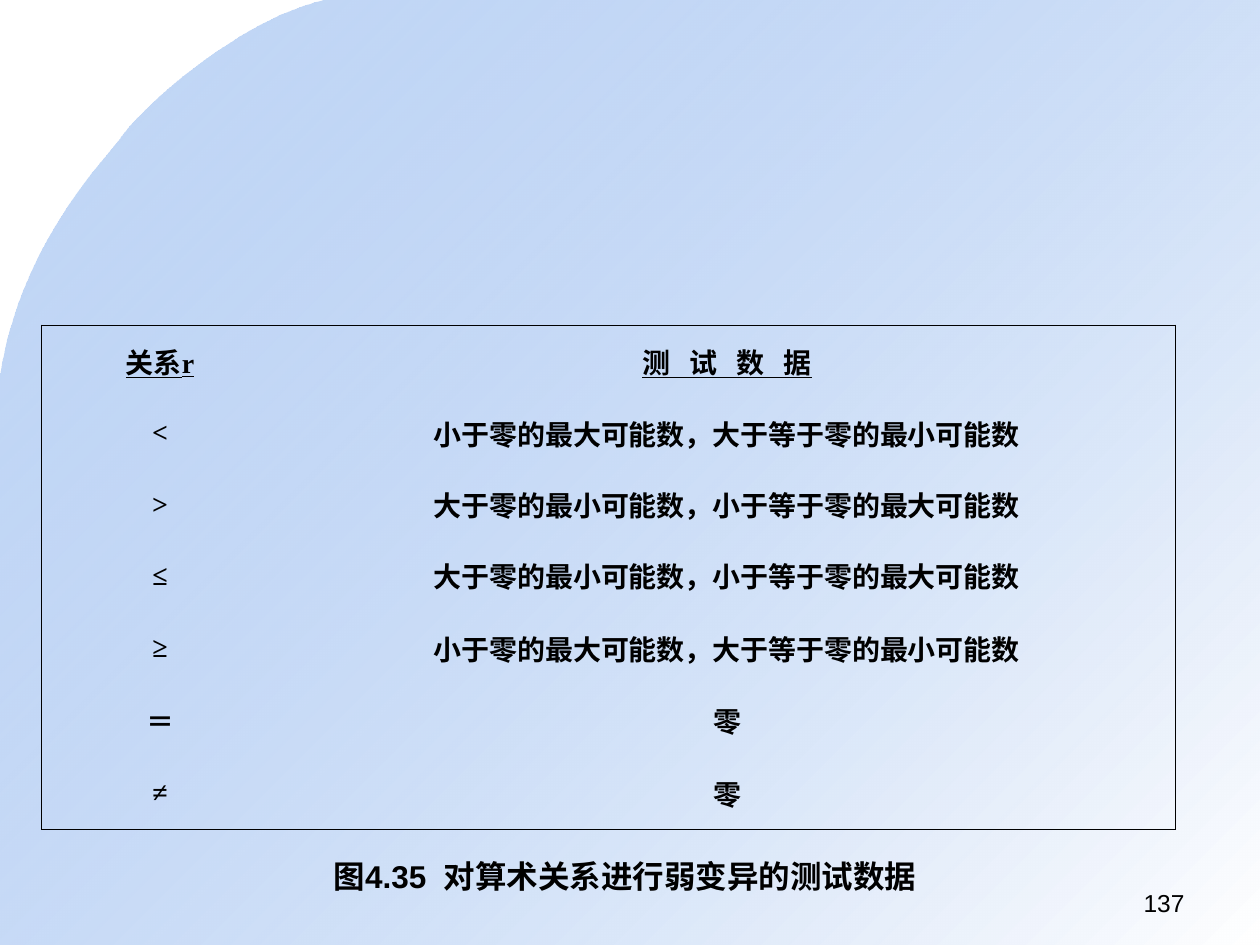
from dataclasses import dataclass

from lxml.etree import SubElement
from pptx import Presentation
from pptx.dml.color import RGBColor
from pptx.enum.text import MSO_ANCHOR as Anchor, MSO_AUTO_SIZE as AutoSize, PP_ALIGN as Align
from pptx.oxml.ns import qn
from pptx.util import Inches, Pt


@dataclass(frozen=True)
class Theme:
    """Colours, fonts and type sizes of the slide."""
    ink: RGBColor = RGBColor(0, 0, 0)
    sky: RGBColor = RGBColor(0x69, 0x9D, 0xE9)
    white: RGBColor = RGBColor(255, 255, 255)
    sky_alpha: int = 39000
    serif: str = "Times New Roman"
    sans: str = "Arial"
    table_size: Pt = Pt(16)
    caption_size: Pt = Pt(18)
    number_size: Pt = Pt(14)
    border: Pt = Pt(0.45)


THEME = Theme()
HEADERS = ("关系r", "测 试 数 据")
HEADER_TRACKING = 3.7
BELOW_ZERO = "小于零的最大可能数，大于等于零的最小可能数"
ABOVE_ZERO = "大于零的最小可能数，小于等于零的最大可能数"
RELATIONS = (("<", BELOW_ZERO), (">", ABOVE_ZERO), ("≤", ABOVE_ZERO),
             ("≥", BELOW_ZERO), ("＝", "零"), ("≠", "零"))
COLUMN_WIDTHS = (1.88, 7.12)
ROW_HEIGHTS = (0.57, 0.58, 0.55, 0.58, 0.57, 0.58, 0.57)
CURVES = (((2.58, 0), (1.9, 0.16), (1.16, 0.83), (0.98, 1.07)),
          ((0.98, 1.07), (0.8, 1.32), (0.16, 1.94), (0, 3.01)))


def bezier_points(curve, steps=24):
    """Return points along a cubic curve, without its start."""
    points = []
    for step in range(1, steps + 1):
        t = step / steps
        weights = ((1 - t) ** 3, 3 * t * (1 - t) ** 2, 3 * t * t * (1 - t), t ** 3)
        points.append(tuple(sum(w * point[axis] for w, point in zip(weights, curve))
                            for axis in (0, 1)))
    return points


def style_font(font, name, size, bold=False):
    """Apply a typeface, size and ink colour to a font."""
    font.name, font.size, font.bold = name, size, bold
    font.color.rgb = THEME.ink


def add_run(paragraph, text, tracking=0):
    """Append text with optional letter spacing in points."""
    run = paragraph.add_run()
    run.text = text
    if tracking:
        run._r.get_or_add_rPr().set("spc", str(round(tracking * 100)))


def add_backdrop(slide, left, top, width, height):
    """Draw the gradient sheet with its curved top left corner."""
    outline = [CURVES[0][0]] + [point for curve in CURVES for point in bezier_points(curve)]
    points = [(left + Inches(x), top + Inches(y)) for x, y in outline]
    points += [(left, top + height), (left + width, top + height), (left + width, top)]
    builder = slide.shapes.build_freeform(*points[0])
    builder.add_line_segments(points[1:], close=True)
    shape = builder.convert_to_shape()
    shape.shadow.inherit = False
    shape.line.fill.background()
    shape.fill.gradient()
    shape.fill.gradient_angle = 315
    for stop, position, color in zip(shape.fill.gradient_stops, (0, 1), (THEME.sky, THEME.white)):
        stop.position, stop.color.rgb = position, color
    first_color = shape._element.spPr.find(".//" + qn("a:srgbClr"))
    SubElement(first_color, qn("a:alpha"), val=str(THEME.sky_alpha))


def set_borders(cell, visible):
    """Draw the named sides of a cell and clear the others."""
    properties = cell._tc.get_or_add_tcPr()
    for side in "LRTB":
        line = SubElement(properties, qn(f"a:ln{side}"), w=str(int(THEME.border)))
        if side in visible:
            fill = SubElement(line, qn("a:solidFill"))
            SubElement(fill, qn("a:srgbClr"), val=str(THEME.ink))
        else:
            SubElement(line, qn("a:noFill"))


def fill_cell(cell, text, is_header):
    """Write one centred table entry."""
    cell.fill.background()
    cell.vertical_anchor = Anchor.MIDDLE
    cell.margin_left = cell.margin_right = Inches(0.08)
    cell.margin_top = cell.margin_bottom = Inches(0.05)
    paragraph = cell.text_frame.paragraphs[0]
    paragraph.alignment = Align.CENTER
    paragraph.space_after = Pt(1.2)
    add_run(paragraph, text, HEADER_TRACKING if " " in text else 0)
    style_font(paragraph.font, THEME.serif, THEME.table_size, bold=True)
    paragraph.font.underline = is_header
    for run in paragraph.runs:
        style_font(run.font, THEME.serif, THEME.table_size, bold=True)
        run.font.underline = is_header


def add_relation_table(slide, left, top, width, height):
    """Build the framed table of relations and test data."""
    rows = (HEADERS, *RELATIONS)
    table = slide.shapes.add_table(len(rows), len(HEADERS), left, top, width, height).table
    table.first_row = table.horz_banding = False
    for column, column_width in zip(table.columns, COLUMN_WIDTHS):
        column.width = Inches(column_width)
    for index, (row, row_height, texts) in enumerate(zip(table.rows, ROW_HEIGHTS, rows)):
        row.height = Inches(row_height)
        edge = {0: "T", len(rows) - 1: "B"}.get(index, "")
        for cell, side, text in zip(row.cells, "LR", texts):
            set_borders(cell, side + edge)
            fill_cell(cell, text, index == 0)


def add_label(slide, box, pieces, size, bold=False, align=Align.LEFT, wrap=True):
    """Place a one-line label made of (text, tracking) pieces."""
    frame = slide.shapes.add_textbox(*box).text_frame
    frame.word_wrap = wrap
    frame.auto_size = AutoSize.NONE if wrap else AutoSize.SHAPE_TO_FIT_TEXT
    paragraph = frame.paragraphs[0]
    paragraph.alignment = align
    for text, tracking in pieces:
        add_run(paragraph, text, tracking)
    style_font(paragraph.font, THEME.sans, size, bold)
    for run in paragraph.runs:
        style_font(run.font, THEME.sans, size, bold)


def add_caption(slide, *box):
    """Place the figure caption."""
    pieces = (("图4.35", 0), (" ", 5), ("对算术关系进行弱变异的测试数据", 0))
    add_label(slide, box, pieces, THEME.caption_size, bold=True, wrap=False)


def add_page_number(slide, *box):
    """Place the page number."""
    add_label(slide, box, (("137", 0),), THEME.number_size, align=Align.RIGHT)


def main():
    """Build and save the slide."""
    presentation = Presentation()
    presentation.slide_width, presentation.slide_height = Inches(10), Inches(7.5)
    slide = presentation.slides.add_slide(presentation.slide_layouts[6])
    add_backdrop(slide, 0, 0, presentation.slide_width, presentation.slide_height)
    add_relation_table(slide, Inches(0.33), Inches(2.58), Inches(9), Inches(4))
    add_caption(slide, Inches(2.55), Inches(6.75), Inches(4.94), Inches(0.4))
    add_page_number(slide, Inches(7.17), Inches(7), Inches(2.33), Inches(0.35))
    presentation.save("out.pptx")


if __name__ == "__main__":
    main()
